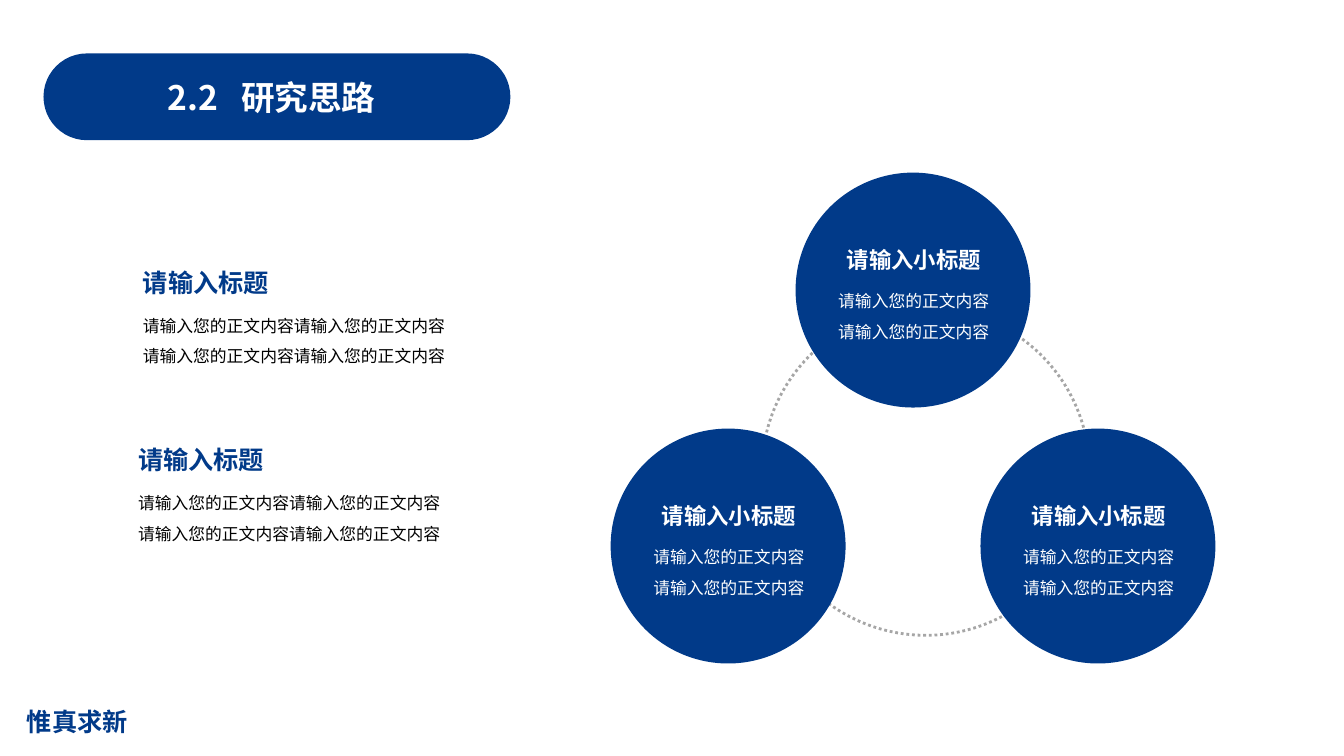
import pptx
import pptx.util
import pptx.dml.color
import pptx.enum.dml
import pptx.enum.shapes
import pptx.enum.text
import pptx.oxml.ns
import lxml.etree

Cm, Pt = pptx.util.Cm, pptx.util.Pt
qn = pptx.oxml.ns.qn
KIND = pptx.enum.shapes.MSO_SHAPE
ALIGN = pptx.enum.text.PP_ALIGN

FONT = "Noto Sans CJK SC"
BLUE, WHITE, BLACK, GREY = "013A89", "FFFFFF", "000000", "A6A6A6"


def paint(color, code):
    color.rgb = pptx.dml.color.RGBColor.from_string(code)


def style(para, size, code, bold=False):
    """Set the font of a paragraph, for Latin and East Asian text alike."""
    font = para.font
    font.size, font.bold = Pt(size), bold
    font.fill.solid()
    paint(font.fill.fore_color, code)
    font.name = FONT
    props = para._p.find(qn("a:pPr")).find(qn("a:defRPr"))
    lxml.etree.SubElement(props, qn("a:ea"), typeface=FONT)


def add_form(slide, kind, box, fill=None):
    form = slide.shapes.add_shape(kind, *map(Cm, box))
    form.shadow.inherit = False
    if fill:
        form.fill.solid()
        paint(form.fill.fore_color, fill)
    else:
        form.fill.background()
    form.line.fill.background()
    return form


def add_line(form, code, width):
    form.line.fill.solid()
    paint(form.line.color, code)
    form.line.width = Pt(width)


def add_box(slide, box):
    frame = slide.shapes.add_textbox(*map(Cm, box)).text_frame
    frame.word_wrap = True
    return frame


def add_block(slide, box, head, body, size, colors, align):
    """Place a heading above two equal lines of body text."""
    frame = add_box(slide, box)
    frame.text = "\n".join([head, body, body])
    for para in frame.paragraphs:
        para.alignment = align
        para.line_spacing = 1.5
    first, *rest = frame.paragraphs
    first.space_after = Pt(6)
    style(first, size, colors[0], True)
    for para in rest:
        style(para, 12, colors[1])


def add_title(slide, box):
    left, top, width, height = box
    pill = add_form(slide, KIND.ROUNDED_RECTANGLE, box, BLUE)
    pill.adjustments[0] = 0.5
    add_line(pill, BLUE, 3)

    title = slide.shapes.title
    title.left, title.top = Cm(left + 2.82), Cm(top)
    title.width, title.height = Cm(width - 4), Cm(height)
    slide.shapes._spTree.append(title._element)
    frame = title.text_frame
    frame.text = "2.2\t研究思路"
    frame.word_wrap = True
    frame.auto_size = pptx.enum.text.MSO_AUTO_SIZE.NONE
    frame.vertical_anchor = pptx.enum.text.MSO_ANCHOR.MIDDLE
    para = frame.paragraphs[0]
    para.alignment = ALIGN.LEFT
    tabs = lxml.etree.SubElement(para._p.get_or_add_pPr(), qn("a:tabLst"))
    lxml.etree.SubElement(tabs, qn("a:tab"), pos=str(Cm(1.85)), algn="l")
    style(para, 24, WHITE, True)


def add_notes(slide, box):
    """Place the two text blocks on the left, the lower one slightly outdented."""
    left, top, width, height = box
    for x, y in [(left + 0.12, top), (left, top + 4.47)]:
        add_block(slide, (x, y, width, height), "请输入标题",
                  "请输入您的正文内容" * 2, 18, (BLUE, BLACK), ALIGN.LEFT)


def add_cycle(slide, box):
    """Place three discs on a dotted ring: one on top, two at the bottom corners."""
    left, top, width, height = box
    disc, ring = 5.92, 8.26
    ring_form = add_form(slide, KIND.OVAL, (left + 3.81, top + 3.4, ring, ring))
    add_line(ring_form, GREY, 2)
    ring_form.line.dash_style = pptx.enum.dml.MSO_LINE.ROUND_DOT

    low = top + height - disc
    right = left + width - disc
    spots = [((left + right) / 2, top), (left, low), (right, low)]
    for x, y in spots:
        add_form(slide, KIND.OVAL, (x, y, disc, disc), BLUE)
        add_block(slide, (x + 0.39, y + 1.38, 5.18, 3.02), "请输入小标题",
                  "请输入您的正文内容", 16, (WHITE, WHITE), ALIGN.CENTER)


def add_motto(slide, box):
    frame = add_box(slide, box)
    frame.text = "惟真求新"
    style(frame.paragraphs[0], 18, BLUE, True)


def main():
    deck = pptx.Presentation()
    deck.slide_width, deck.slide_height = Cm(33.87), Cm(19.05)
    slide = deck.slides.add_slide(deck.slide_layouts[5])
    add_motto(slide, (0.43, 17.68, 7.32, 1.02))
    add_cycle(slide, (15.39, 4.35, 15.24, 12.37))
    add_title(slide, (1.15, 1.4, 11.66, 2.08))
    add_notes(slide, (3.23, 6.22, 9.4, 3.18))
    deck.save("out.pptx")


if __name__ == "__main__":
    main()
